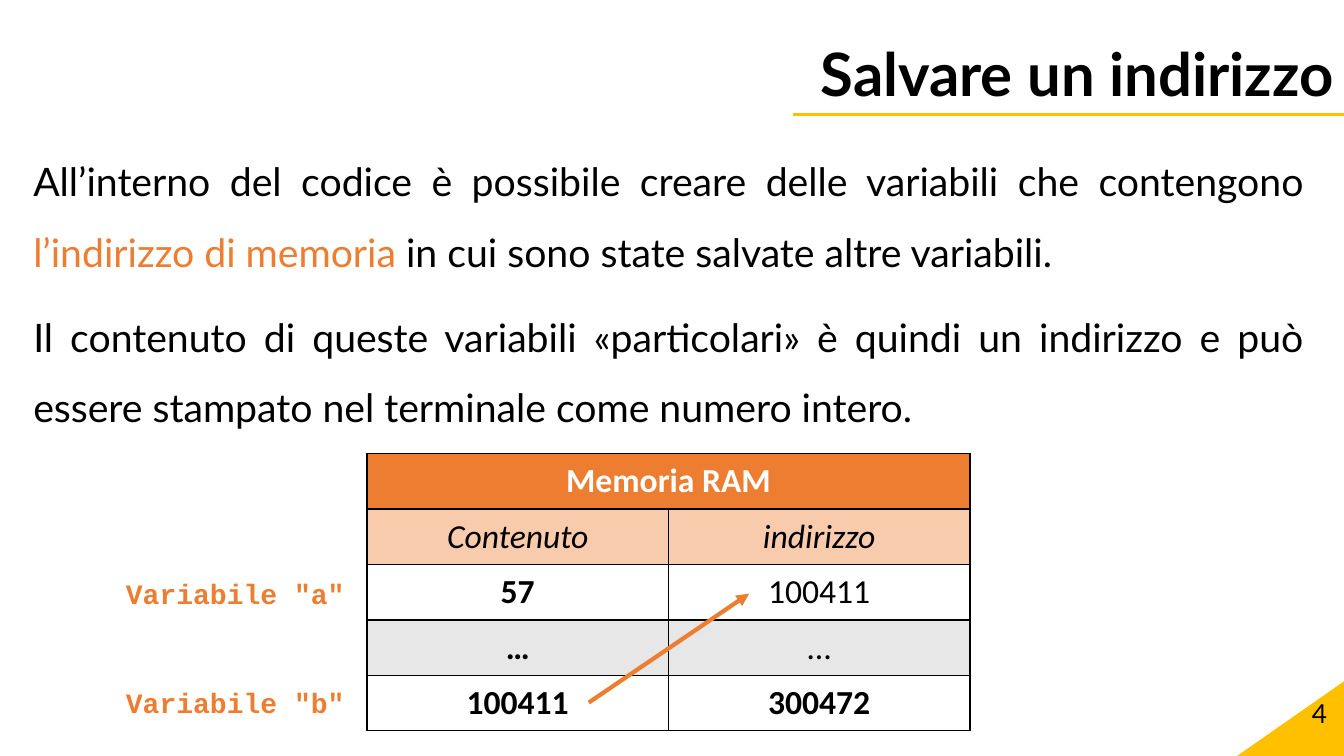
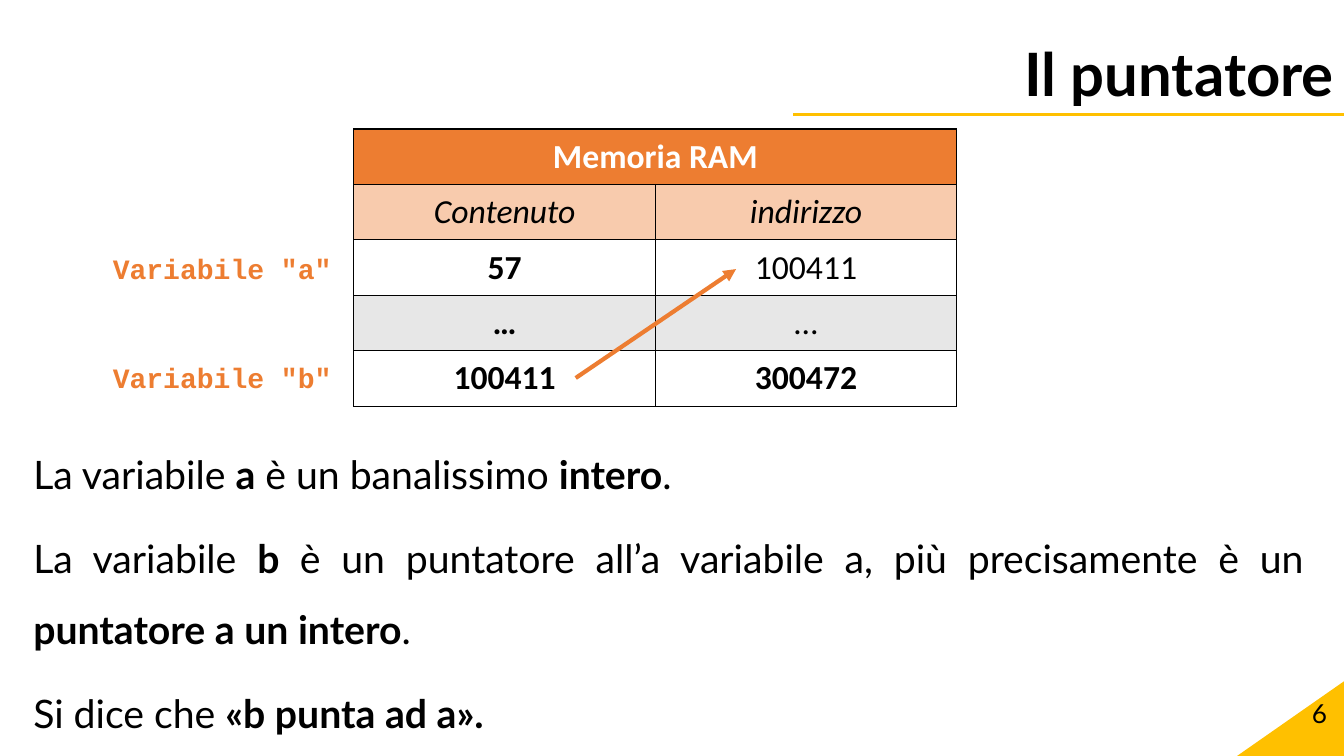
from pptx import Presentation
from pptx.dml.color import RGBColor
from pptx.enum.shapes import MSO_CONNECTOR, MSO_SHAPE
from pptx.enum.text import MSO_ANCHOR, MSO_AUTO_SIZE, PP_ALIGN
from pptx.oxml.ns import qn
from pptx.util import Inches, Pt
from lxml.etree import SubElement

COLORS = {
    "black": "000000",
    "white": "FFFFFF",
    "yellow": "FFC000",
    "orange": "ED7D31",
    "peach": "F8CBAD",
    "grey": "E7E7E7",
}
TITLE = {"name": "Lato", "size": Pt(42.7), "bold": True}
BODY = {"name": "Lato", "size": Pt(28), "bold": False}
NUMBER = {"name": "Lato", "size": Pt(18.7)}
CELL = {"name": "Calibri", "size": Pt(24)}
LABEL = {"name": "Courier New", "size": Pt(20), "bold": True}
BOLD = {"bold": True}
ITALIC = {"italic": True, "bold": False}
REGULAR = {"bold": False}

COLUMN_WIDTH, ROW_HEIGHT = 2.99, 0.55
# Each row: fill, text colour, then the text and format of each cell
MEMORY_ROWS = [
    ("orange", "white", [("Memoria RAM", BOLD)]),
    ("peach", "black", [("Contenuto", ITALIC), ("indirizzo", ITALIC)]),
    ("white", "black", [("57", BOLD), ("100411", REGULAR)]),
    ("grey", "black", [("…", BOLD), ("…", REGULAR)]),
    ("white", "black", [("100411", BOLD), ("300472", BOLD)]),
]
VARIABLE_LABELS = [('Variabile "a"', 1.17), ('Variabile "b"', 2.25)]

SLIDES = [
    {
        "title": "Salvare un indirizzo",
        "number": "4",
        "body": (0.23, 1.28, 12.8, 5.48),
        "table": (3.64, 4.5),
        "paragraphs": [
            [
                ("All’interno del codice è possibile creare delle variabili che contengono ", {}),
                ("l’indirizzo di memoria", {"color": "orange"}),
                (" in cui sono state salvate altre variabili.", {}),
            ],
            [
                ("Il contenuto di queste variabili «particolari» è quindi un indirizzo "
                 "e può essere stampato nel terminale come numero intero.", {}),
            ],
        ],
    },
    {
        "title": "Il puntatore",
        "number": "6",
        "body": (0.23, 4.18, 12.8, 3.32),
        "table": (3.51, 1.28),
        "paragraphs": [
            [
                ("La variabile ", {}),
                ("a", BOLD),
                (" è un banalissimo ", {}),
                ("intero", BOLD),
                (".", {}),
            ],
            [
                ("La variabile ", {}),
                ("b ", BOLD),
                ("è un puntatore all’a variabile a, più precisamente è un ", {}),
                ("puntatore a un intero", BOLD),
                (".", {}),
            ],
            [("Si dice che ", {}), ("«b punta ad a».", BOLD)],
        ],
    },
]


def add_run(paragraph, text, style, color="black"):
    """Add a run and set its font from a dict of format values."""
    run = paragraph.add_run()
    run.text = text
    for attribute, value in style.items():
        if attribute == "color":
            color = value
        else:
            setattr(run.font, attribute, value)
    run.font.color.rgb = RGBColor.from_string(COLORS[color])


def add_line(slide, start, end, color, width):
    """Draw a straight line without shadow and return it."""
    points = [Inches(value) for value in (*start, *end)]
    line = slide.shapes.add_connector(MSO_CONNECTOR.STRAIGHT, *points)
    line.line.color.rgb = RGBColor.from_string(COLORS[color])
    line.line.width = Pt(width)
    SubElement(line.element.spPr, qn("a:effectLst"))
    return line


presentation = Presentation()
presentation.slide_width = Inches(13.33)
presentation.slide_height = Inches(7.5)
layout = presentation.slide_layouts[1]

for index, content in enumerate(SLIDES):
    slide = presentation.slides.add_slide(layout)

    # The corner and the title rule move to the layout, which all slides share
    if index == 0:
        corner = slide.shapes.add_shape(
            MSO_SHAPE.RIGHT_TRIANGLE, Inches(12.27), Inches(6.76), Inches(1.06), Inches(0.74))
        corner.shadow.inherit = False
        corner.fill.solid()
        corner.fill.fore_color.rgb = RGBColor.from_string(COLORS["yellow"])
        corner.line.fill.background()
        corner.element.spPr.find(qn("a:xfrm")).set("flipH", "1")
        title_rule = add_line(slide, (7.87, 1.14), (13.33, 1.14), "yellow", 2.25)
        for decoration in (corner, title_rule):
            layout.shapes.element.append(decoration.element)

    # Title
    title = slide.shapes.title
    title.left, title.top, title.width, title.height = map(Inches, (0, 0.4, 13.33, 0.74))
    title.text_frame.vertical_anchor = MSO_ANCHOR.MIDDLE
    title.text_frame.auto_size = MSO_AUTO_SIZE.NONE
    paragraph = title.text_frame.paragraphs[0]
    paragraph.alignment = PP_ALIGN.RIGHT
    paragraph.line_spacing = 0.9
    add_run(paragraph, content["title"], TITLE)

    # Body
    body = slide.placeholders[1]
    body.left, body.top, body.width, body.height = map(Inches, content["body"])
    body.text_frame.vertical_anchor = MSO_ANCHOR.TOP
    body.text_frame.auto_size = MSO_AUTO_SIZE.NONE
    for position, runs in enumerate(content["paragraphs"]):
        paragraph = body.text_frame.add_paragraph() if position else body.text_frame.paragraphs[0]
        paragraph.alignment = PP_ALIGN.JUSTIFY
        paragraph.line_spacing = 1.5
        paragraph.space_before = Pt(10)
        paragraph.space_after = Pt(0)
        properties = paragraph._p.get_or_add_pPr()
        properties.set("marL", "0")
        properties.set("indent", "0")
        SubElement(properties, qn("a:buNone"))
        for text, style in runs:
            add_run(paragraph, text, {**BODY, **style})

    # Slide number
    number = slide.shapes.add_textbox(Inches(10.26), Inches(6.87), Inches(3), Inches(0.4))
    number.text_frame.word_wrap = True
    number.text_frame.vertical_anchor = MSO_ANCHOR.MIDDLE
    paragraph = number.text_frame.paragraphs[0]
    paragraph.alignment = PP_ALIGN.RIGHT
    add_run(paragraph, content["number"], NUMBER)

    # Memory table
    left, top = content["table"]
    memory = slide.shapes.add_table(
        len(MEMORY_ROWS), 2, Inches(left), Inches(top),
        Inches(2 * COLUMN_WIDTH), Inches(len(MEMORY_ROWS) * ROW_HEIGHT)).table
    for column in memory.columns:
        column.width = Inches(COLUMN_WIDTH)
    for row in memory.rows:
        row.height = Inches(ROW_HEIGHT)
    memory.cell(0, 0).merge(memory.cell(0, 1))
    for row_index, (fill, color, texts) in enumerate(MEMORY_ROWS):
        for column_index in range(2):
            cell = memory.cell(row_index, column_index)
            cell.vertical_anchor = MSO_ANCHOR.MIDDLE
            cell_properties = cell._tc.get_or_add_tcPr()
            for side in ("a:lnL", "a:lnR", "a:lnT", "a:lnB"):
                border = SubElement(cell_properties, qn(side), w=str(Pt(1)))
                border_fill = SubElement(border, qn("a:solidFill"))
                SubElement(border_fill, qn("a:srgbClr"), val=COLORS["black"])
            cell.fill.solid()
            cell.fill.fore_color.rgb = RGBColor.from_string(COLORS[fill])
            if column_index < len(texts):
                text, style = texts[column_index]
                paragraph = cell.text_frame.paragraphs[0]
                paragraph.alignment = PP_ALIGN.CENTER
                add_run(paragraph, text, {**CELL, **style}, color)

    # Arrow from the content of b to the address of a
    pointer = add_line(slide, (left + 2.2, top + 2.47), (left + 3.79, top + 1.39), "orange", 3)
    SubElement(pointer.element.spPr.find(qn("a:ln")), qn("a:tailEnd"), type="triangle")

    # Variable names beside their rows
    for text, offset in VARIABLE_LABELS:
        label = slide.shapes.add_textbox(
            Inches(left - 2.49), Inches(top + offset), Inches(2.39), Inches(0.44))
        label.text_frame.word_wrap = True
        label.text_frame.auto_size = MSO_AUTO_SIZE.SHAPE_TO_FIT_TEXT
        add_run(label.text_frame.paragraphs[0], text, LABEL, "orange")

presentation.save("out.pptx")
